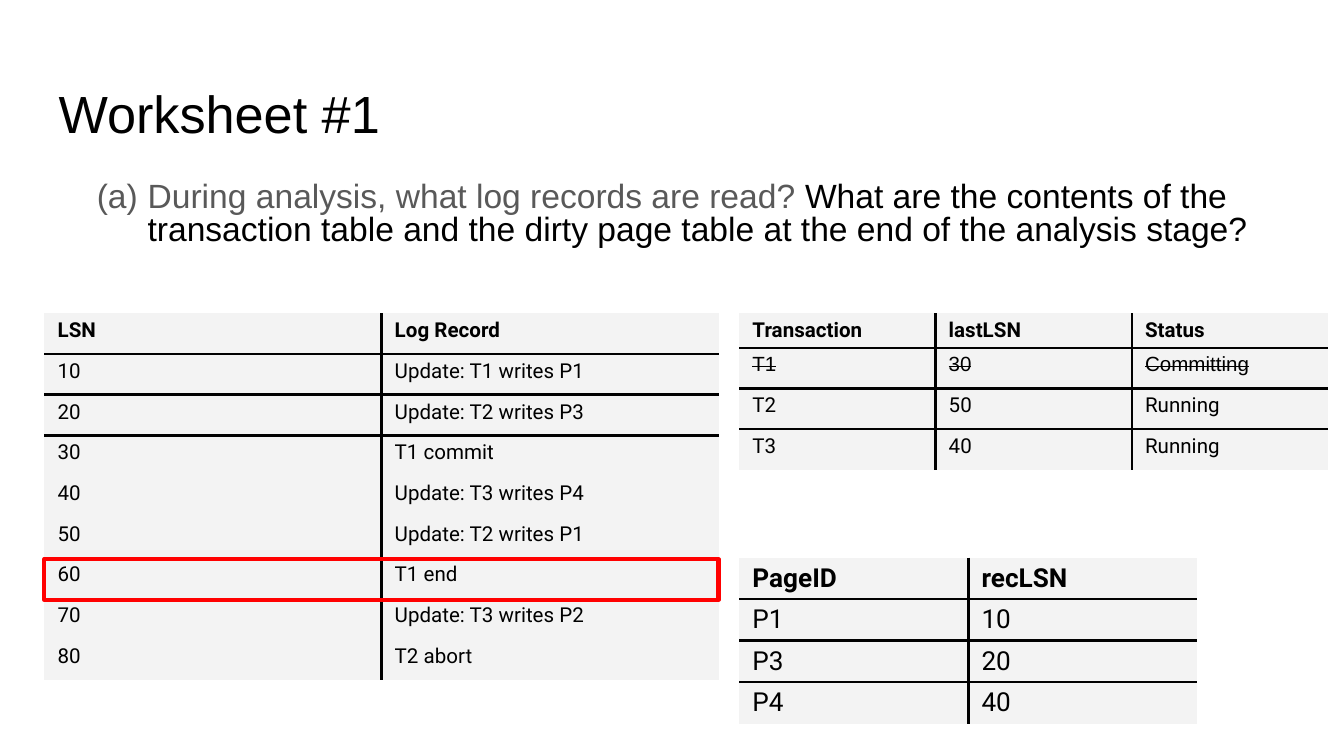
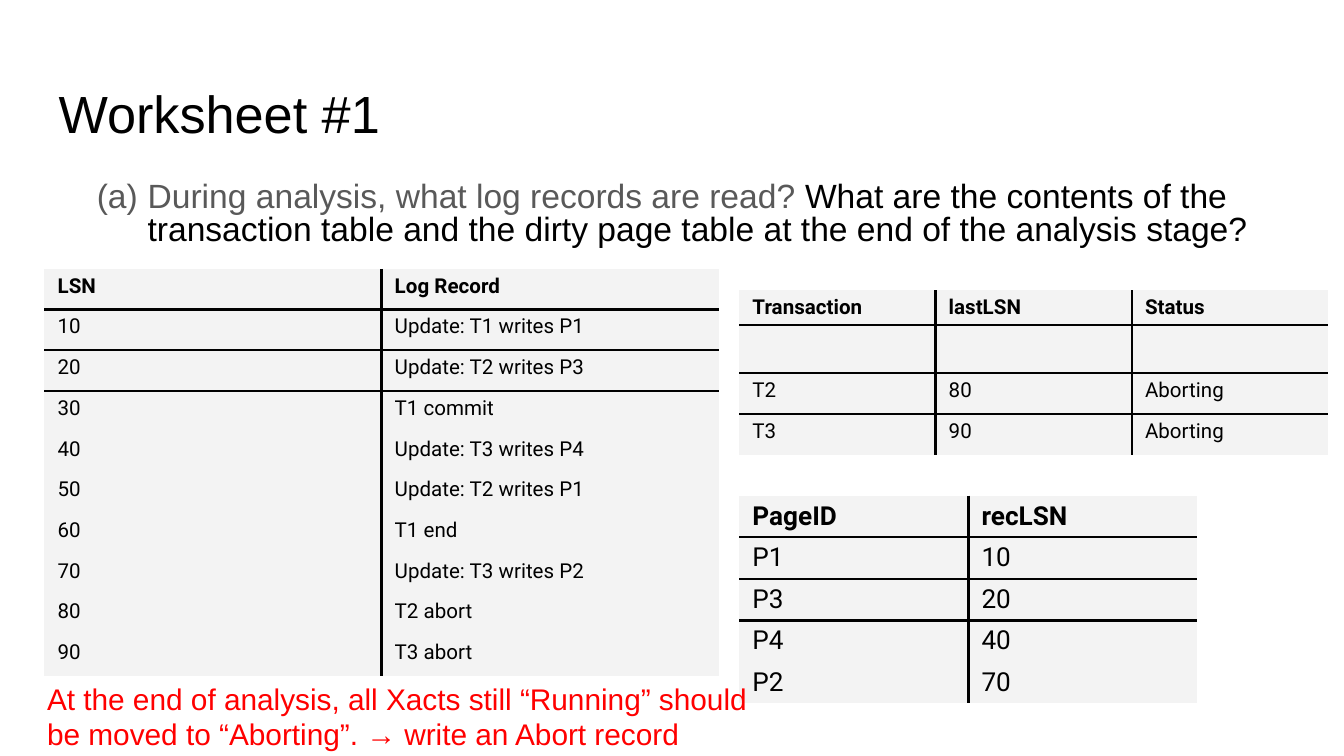
from lxml import etree
from pptx import Presentation
from pptx.dml.color import RGBColor
from pptx.enum.shapes import MSO_SHAPE
from pptx.enum.text import MSO_ANCHOR, MSO_AUTO_SIZE, PP_ALIGN
from pptx.oxml.ns import qn
from pptx.util import Cm, Pt

RECTANGLE = MSO_SHAPE.RECTANGLE
TOP = MSO_ANCHOR.TOP
NO_AUTOFIT = MSO_AUTO_SIZE.NONE
LEFT = PP_ALIGN.LEFT

BLACK = RGBColor(0x00, 0x00, 0x00)
GRAY = RGBColor(0x59, 0x59, 0x59)
PALE = RGBColor(0xF3, 0xF3, 0xF3)
RED = RGBColor(0xFF, 0x00, 0x00)

TEXT_FONT = "Arial"
TABLE_FONT = "Roboto"
PLAIN_TABLE_STYLE = "{2D5ABB26-0587-4C30-8999-92F81FD0307C}"

# Lengths in centimetres
ROW_HEIGHT = 0.77
SHORT_ROW = 0.64
EMPTY_ROW = 0.91
LOG_LEFT, LOG_COLUMN = 0.84, 6.37
RIGHT_LEFT, TRANSACTION_COLUMN, PAGE_COLUMN = 13.97, 3.71, 4.33

# Worksheet data
LOG_RECORDS = [
    "Update: T1 writes P1", "Update: T2 writes P3", "T1 commit",
    "Update: T3 writes P4", "Update: T2 writes P1", "T1 end",
    "Update: T3 writes P2", "T2 abort", "T3 abort",
]
LOG_ROWS = [("LSN", "Log Record")] + [
    (str(10 * number), record) for number, record in enumerate(LOG_RECORDS, 1)
]
TRANSACTION_HEADER = ("Transaction", "lastLSN", "Status")
PAGE_ROWS = [("PageID", "recLSN"), ("P1", "10"), ("P3", "20"), ("P4", "40"), ("P2", "70")]


class Worksheet:
    """Holds the shared style and the slide being filled."""

    def __init__(self):
        self.deck = Presentation()
        self.deck.slide_width = Cm(25.4)
        self.deck.slide_height = Cm(14.29)
        self.slide = None

    def add_page(self):
        self.slide = self.deck.slides.add_slide(self.deck.slide_layouts[1])
        self.title("Worksheet #1")
        self.question(
            "During analysis, what log records are read? ",
            "What are the contents of the transaction table and the dirty page "
            "table at the end of the analysis stage?",
        )

    def place(self, shape, left, top, width, height):
        shape.left, shape.top = Cm(left), Cm(top)
        shape.width, shape.height = Cm(width), Cm(height)

    def set_font(self, font, size, color=BLACK, name=TEXT_FONT, bold=False):
        font.size, font.name, font.bold = Pt(size), name, bold
        font.color.rgb = color

    def set_frame(self, frame, inset):
        frame.word_wrap = True
        frame.auto_size = NO_AUTOFIT
        frame.vertical_anchor = TOP
        frame.margin_left = frame.margin_right = Cm(0.25)
        frame.margin_top = frame.margin_bottom = Cm(inset)

    def title(self, text):
        box = self.slide.shapes.title
        self.place(box, 0.86, 1.24, 23.67, 1.6)
        self.set_frame(box.text_frame, 0.3)
        box.text_frame.text = text
        para = box.text_frame.paragraphs[0]
        para.alignment = LEFT
        self.set_font(para.font, 28)

    def question(self, answered, current):
        box = self.slide.placeholders[1]
        self.place(box, 1.27, 3.33, 22.86, 2.11)
        self.set_frame(box.text_frame, 0.13)
        para = box.text_frame.paragraphs[0]
        para.line_spacing = 0.8
        para.space_before = Pt(0)

        # Lettered bullet with a hanging indent
        properties = para._p.get_or_add_pPr()
        properties.set("marL", str(Cm(1.27)))
        properties.set("indent", str(-Cm(0.96)))
        bullet_color = etree.SubElement(properties, qn("a:buClr"))
        etree.SubElement(bullet_color, qn("a:srgbClr"), val=str(GRAY))
        etree.SubElement(properties, qn("a:buFont"), typeface=TEXT_FONT)
        etree.SubElement(properties, qn("a:buAutoNum"), type="alphaLcParenBoth")

        for text, color in ((answered, GRAY), (current, BLACK)):
            span = para.add_run()
            span.text = text
            self.set_font(span.font, 18, color)

    def add_border(self, cell, side):
        line = etree.SubElement(cell._tc.get_or_add_tcPr(), qn(f"a:ln{side}"), w=str(Pt(1.5)))
        fill = etree.SubElement(line, qn("a:solidFill"))
        etree.SubElement(fill, qn("a:srgbClr"), val=str(BLACK))

    def table(self, left, top, column_width, rows, size=11, heights=None, struck_row=None):
        """Rules run between columns and below the first two rows."""
        heights = heights or [ROW_HEIGHT] * len(rows)
        column_count = len(rows[0])
        frame = self.slide.shapes.add_table(
            len(rows), column_count, Cm(left), Cm(top),
            Cm(column_width * column_count), Cm(sum(heights)))
        table = frame.table
        table.first_row = table.horz_banding = False
        table._tbl.tblPr.find(qn("a:tableStyleId")).text = PLAIN_TABLE_STYLE
        for column in table.columns:
            column.width = Cm(column_width)
        for row_index, values in enumerate(rows):
            table.rows[row_index].height = Cm(heights[row_index])
            for column_index, text in enumerate(values):
                cell = table.cell(row_index, column_index)
                borders = {
                    "L": column_index > 0,
                    "R": column_index < column_count - 1,
                    "T": row_index in (1, 2),
                    "B": row_index in (0, 1),
                }
                for side, drawn in borders.items():
                    if drawn:
                        self.add_border(cell, side)
                cell.fill.solid()
                cell.fill.fore_color.rgb = PALE
                cell.margin_left = cell.margin_right = Cm(0.25)
                cell.margin_top = cell.margin_bottom = Cm(0.1)
                struck = row_index == struck_row
                para = cell.text_frame.paragraphs[0]
                self.set_font(para.font, size, name=TEXT_FONT if struck else TABLE_FONT,
                              bold=row_index == 0)
                if text:
                    span = para.add_run()
                    span.text = text
                    if struck:
                        span._r.get_or_add_rPr().set("strike", "sngStrike")

    def log_table(self, top, rows):
        self.table(LOG_LEFT, top, LOG_COLUMN, rows)

    def transaction_table(self, top, rows, first_height=ROW_HEIGHT, struck_row=None):
        heights = [SHORT_ROW, first_height] + [ROW_HEIGHT] * (len(rows) - 1)
        self.table(RIGHT_LEFT, top, TRANSACTION_COLUMN, [TRANSACTION_HEADER] + rows,
                   heights=heights, struck_row=struck_row)

    def page_table(self, top, rows):
        self.table(RIGHT_LEFT, top, PAGE_COLUMN, rows, size=14)

    def highlight(self, left, top, width, height):
        box = self.slide.shapes.add_shape(RECTANGLE, Cm(left), Cm(top), Cm(width), Cm(height))
        box.shadow.inherit = False
        box.fill.background()
        box.line.color.rgb = RED
        box.line.width = Pt(2.25)

    def note(self, text):
        box = self.slide.shapes.add_textbox(Cm(0.64), Cm(12.73), Cm(13.82), Cm(1.78))
        self.set_frame(box.text_frame, 0.13)
        box.text_frame.text = text
        self.set_font(box.text_frame.paragraphs[0].font, 16, RED)


def main():
    sheet = Worksheet()

    # Analysis reaches the end record of T1
    sheet.add_page()
    sheet.transaction_table(
        5.92,
        [("T1", "30", "Committing"), ("T2", "50", "Running"), ("T3", "40", "Running")],
        struck_row=1)
    sheet.page_table(10.54, PAGE_ROWS[:-1])
    sheet.log_table(5.92, LOG_ROWS[:-1])
    sheet.highlight(LOG_LEFT, 10.57, 2 * LOG_COLUMN, ROW_HEIGHT)

    # Running transactions are aborted
    sheet.add_page()
    sheet.transaction_table(
        5.49,
        [("", "", ""), ("T2", "80", "Aborting"), ("T3", "90", "Aborting")],
        first_height=EMPTY_ROW)
    sheet.page_table(9.37, PAGE_ROWS)
    sheet.log_table(5.08, LOG_ROWS)
    sheet.note("At the end of analysis, all Xacts still “Running” should be moved to "
               "“Aborting”. → write an Abort record")

    sheet.deck.save("out.pptx")


if __name__ == "__main__":
    main()
